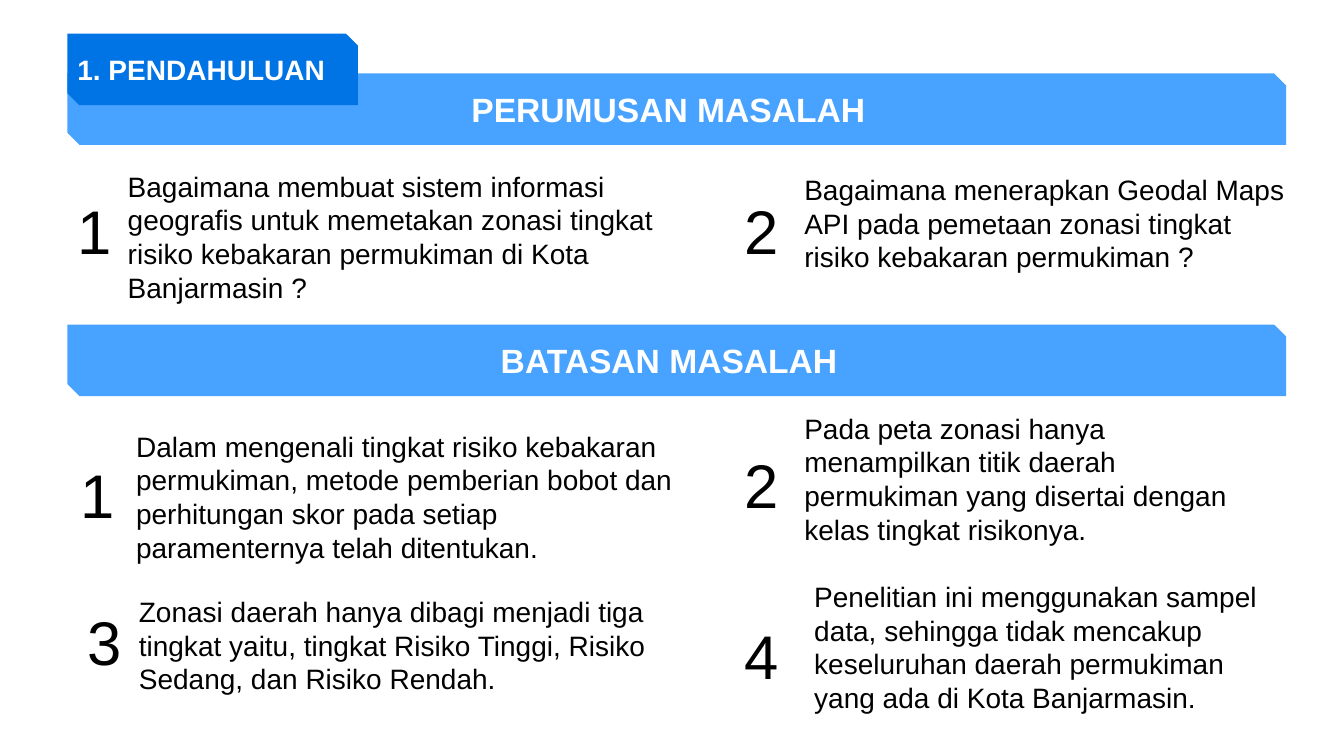
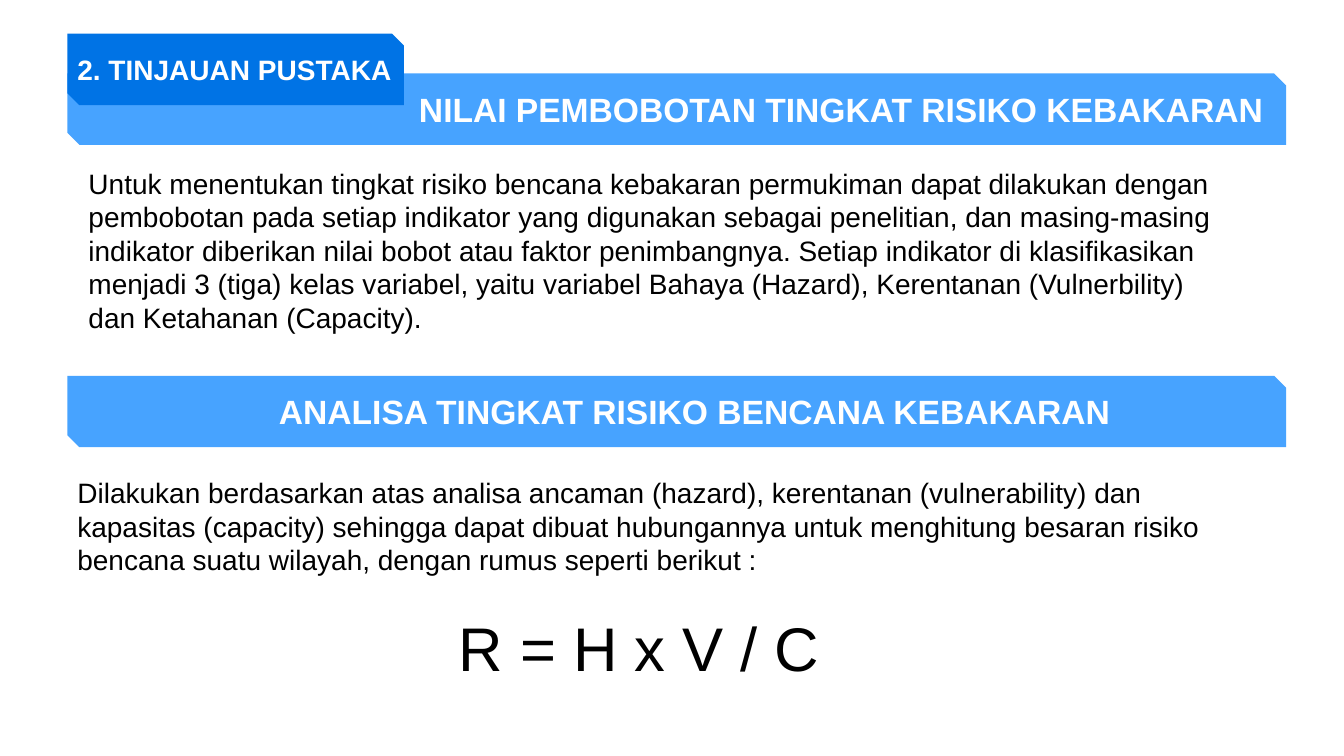
import dataclasses

import pptx
import pptx.dml.color
import pptx.enum.shapes
import pptx.enum.text
import pptx.util

Cm = pptx.util.Cm
Pt = pptx.util.Pt
Align = pptx.enum.text.PP_ALIGN
Anchor = pptx.enum.text.MSO_ANCHOR


@dataclasses.dataclass(frozen=True)
class Theme:
    font: str = "Arial"
    band: str = "47A3FF"
    tab: str = "0073E5"
    light: str = "FFFFFF"
    dark: str = "000000"
    body_size: int = 20
    heading_size: int = 24
    large_size: int = 44


def write_text(para, text, *, font, size, color, bold=False, align=Align.LEFT, before=0):
    para.alignment = align
    para.space_before = Pt(before)
    span = para.add_run()
    span.text = text
    span.font.name = font
    span.font.size = Pt(size)
    span.font.bold = bold
    span.font.color.rgb = pptx.dml.color.RGBColor.from_string(color)


class SlideWriter:
    left = 1.7
    band_width = 30.71
    band_height = 1.8
    heading_height = 1.63

    def __init__(self, deck, theme):
        self.deck = deck
        self.theme = theme
        self.page = None

    def start_page(self, title, tab_width):
        self.page = self.deck.slides.add_slide(self.deck.slide_layouts[6])
        self.title = title
        self.tab_width = tab_width

    def strip(self, top, width, color):
        shape = self.page.shapes.add_shape(
            pptx.enum.shapes.MSO_SHAPE.SNIP_2_DIAG_RECTANGLE,
            Cm(self.left), Cm(top), Cm(width), Cm(self.band_height))
        shape.shadow.inherit = False
        shape.fill.solid()
        shape.fill.fore_color.rgb = pptx.dml.color.RGBColor.from_string(color)
        shape.line.fill.background()

    def text(self, text, left, top, width, height, *, size, color=None,
             bold=False, anchor=Anchor.TOP):
        box = self.page.shapes.add_textbox(Cm(left), Cm(top), Cm(width), Cm(height))
        frame = box.text_frame
        frame.word_wrap = True
        frame.vertical_anchor = anchor
        write_text(frame.paragraphs[0], text, font=self.theme.font, size=size,
                   color=color or self.theme.dark, bold=bold)
        return frame

    def heading(self, text, left, top, width, size):
        self.text(text, left, top, width, self.heading_height, size=size,
                  color=self.theme.light, bold=True, anchor=Anchor.MIDDLE)

    def band(self, text, top, text_left, text_width):
        self.strip(top, self.band_width, self.theme.band)
        self.heading(text, text_left, top + 0.08, text_width, self.theme.heading_size)

    def title_tab(self):
        self.strip(0.85, self.tab_width, self.theme.tab)
        self.heading(self.title, self.left, 0.93, self.tab_width + 0.3,
                     self.theme.body_size)

    def body(self, text, left, top, width, height):
        return self.text(text, left, top, width, height, size=self.theme.body_size)

    def number(self, text, left, top):
        self.text(text, left, top, 1.48, 2.1, size=self.theme.large_size)

    def formula(self, frame, text):
        write_text(frame.add_paragraph(), text, font=self.theme.font,
                   size=self.theme.large_size, color=self.theme.dark,
                   align=Align.CENTER, before=24)


PROBLEMS = [
    ("1", (1.7, 4.73), (2.97, 4.14, 15.16, 3.3),
     "Bagaimana membuat sistem informasi geografis untuk memetakan zonasi "
     "tingkat risiko kebakaran permukiman di Kota Banjarmasin ?"),
    ("2", (18.52, 4.73), (20.02, 4.22, 12.83, 3.05),
     "Bagaimana menerapkan Geodal Maps API pada pemetaan zonasi tingkat "
     "risiko kebakaran permukiman ?"),
]

LIMITS = [
    ("1", (1.78, 11.4), (3.18, 10.69, 14.45, 3.45),
     "Dalam mengenali tingkat risiko kebakaran permukiman, metode pemberian "
     "bobot dan perhitungan skor pada setiap paramenternya telah ditentukan."),
    ("2", (18.52, 11.13), (20.02, 10.24, 12.27, 3.89),
     "Pada peta zonasi hanya menampilkan titik daerah permukiman yang "
     "disertai dengan kelas tingkat risikonya."),
    ("3", (1.96, 15.09), (3.25, 14.86, 13.28, 3.28),
     "Zonasi daerah hanya dibagi menjadi tiga tingkat yaitu, tingkat Risiko "
     "Tinggi, Risiko Sedang, dan Risiko Rendah."),
    ("4", (18.52, 15.44), (20.27, 14.48, 12.27, 4.01),
     "Penelitian ini menggunakan sampel data, sehingga tidak mencakup "
     "keseluruhan daerah permukiman yang ada di Kota Banjarmasin."),
]

WEIGHTING = (
    "Untuk menentukan tingkat risiko bencana kebakaran permukiman dapat "
    "dilakukan dengan pembobotan pada setiap indikator yang digunakan sebagai "
    "penelitian, dan masing-masing indikator diberikan nilai bobot atau faktor "
    "penimbangnya. Setiap indikator di klasifikasikan menjadi 3 (tiga) kelas "
    "variabel, yaitu variabel Bahaya (Hazard), Kerentanan (Vulnerbility) dan "
    "Ketahanan (Capacity).")

ANALYSIS = (
    "Dilakukan berdasarkan atas analisa ancaman (hazard), kerentanan "
    "(vulnerability) dan kapasitas (capacity) sehingga dapat dibuat hubungannya "
    "untuk menghitung besaran risiko bencana suatu wilayah, dengan rumus "
    "seperti berikut :")


def build_introduction(writer):
    writer.start_page("1. PENDAHULUAN", 7.32)
    writer.band("PERUMUSAN MASALAH", 1.85, 11.63, 10.82)
    writer.title_tab()
    writer.band("BATASAN MASALAH", 8.18, 12.37, 9.12)
    for number, number_place, text_place, text in PROBLEMS + LIMITS:
        writer.number(number, *number_place)
        writer.body(text, *text_place)


def build_literature(writer):
    writer.start_page("2. TINJAUAN PUSTAKA", 8.48)
    writer.band("NILAI PEMBOBOTAN TINGKAT RISIKO KEBAKARAN", 1.85, 10.31, 21.97)
    writer.title_tab()
    writer.body(WEIGHTING, 1.98, 4.06, 28.83, 4.88)
    writer.band("ANALISA TINGKAT RISIKO BENCANA KEBAKARAN", 9.47, 6.78, 21.97)
    frame = writer.body(ANALYSIS, 1.7, 11.86, 28.83, 5.54)
    writer.formula(frame, "R = H x V / C")


def main():
    deck = pptx.Presentation()
    deck.slide_width = Cm(33.87)
    deck.slide_height = Cm(19.05)
    writer = SlideWriter(deck, Theme())
    build_introduction(writer)
    build_literature(writer)
    deck.save("out.pptx")


if __name__ == "__main__":
    main()
